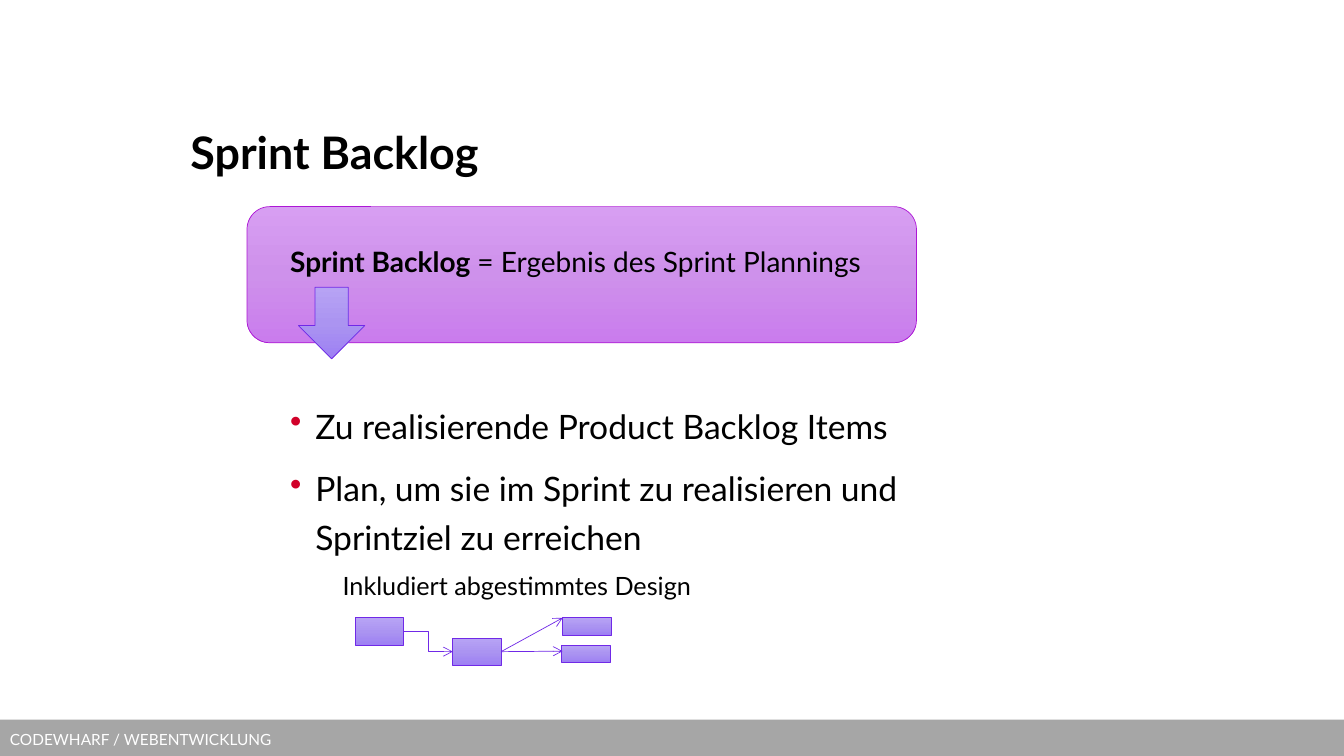
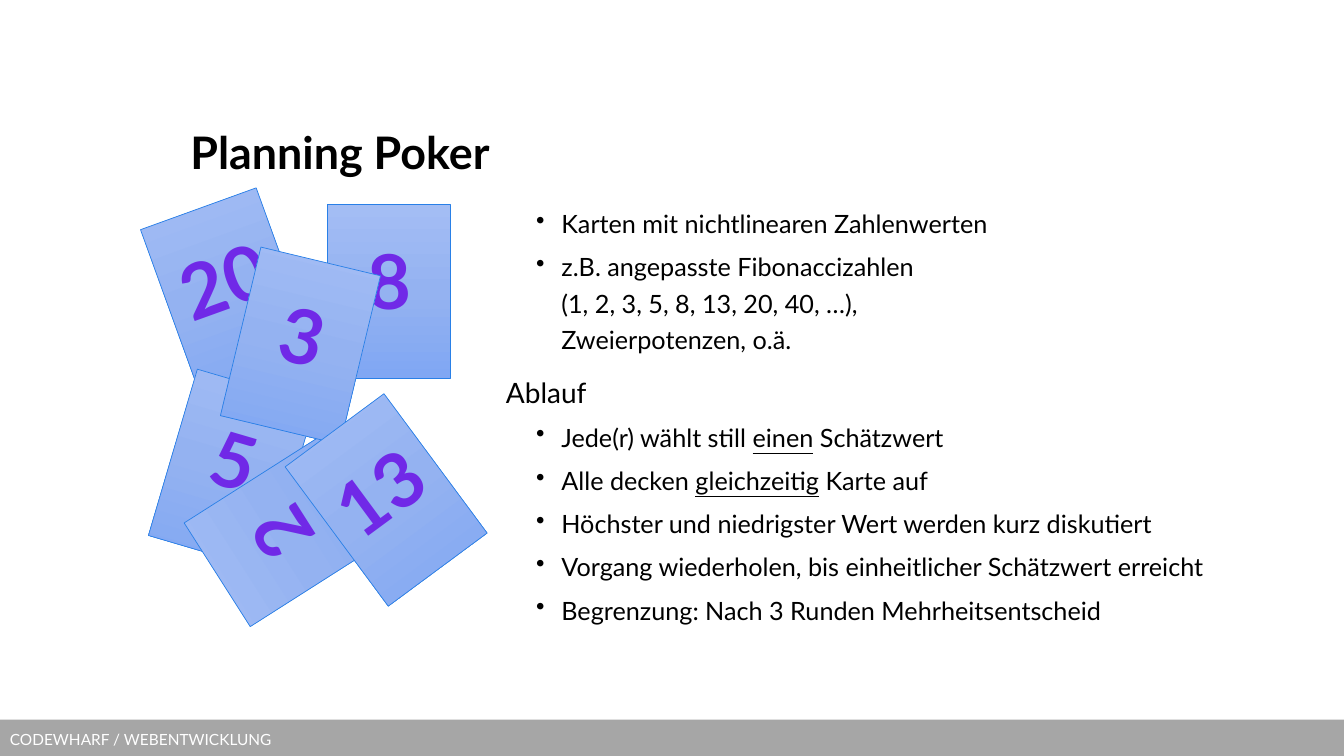
from copy import deepcopy
from dataclasses import dataclass

from lxml import etree
from pptx import Presentation
from pptx.dml.color import RGBColor
from pptx.enum.shapes import MSO_CONNECTOR, MSO_SHAPE
from pptx.enum.text import MSO_ANCHOR, PP_ALIGN
from pptx.oxml.ns import qn
from pptx.util import Inches, Pt

RECTANGLE = MSO_SHAPE.RECTANGLE
ROUNDED = MSO_SHAPE.ROUNDED_RECTANGLE
DOWN_ARROW = MSO_SHAPE.DOWN_ARROW
STRAIGHT, ELBOW = MSO_CONNECTOR.STRAIGHT, MSO_CONNECTOR.ELBOW
TOP, MIDDLE = MSO_ANCHOR.TOP, MSO_ANCHOR.MIDDLE
LEFT, CENTER = PP_ALIGN.LEFT, PP_ALIGN.CENTER
SIDE_LEFT, SIDE_RIGHT = 1, 3


@dataclass(frozen=True)
class Theme:
    font: str = "Lato"
    text: str = "000000"
    white: str = "FFFFFF"
    band: str = "A6A6A6"
    bullet: str = "D10029"
    number: str = "7029E7"
    number_outline: str = "FEFEFE"
    # Gradient stops from top to bottom, then the outline
    pink: tuple = ("D79EF2", "CE91EB", "CA7CED", "AD17D5")
    violet: tuple = ("B7A3F4", "AB94F1", "9D80F3", "7029E7")
    blue: tuple = ("A3BDF4", "94B2F1", "80A7F3", "2980E7")
    title_size: float = 32
    large_size: float = 24
    lead_size: float = 20
    detail_size: float = 18
    footer_size: float = 11
    number_size: float = 54
    line_width: float = 0.5
    line_spacing: float = 1.2


THEME = Theme()


def rgb(color):
    return RGBColor.from_string(color)


def inches(*lengths):
    return [Inches(length) for length in lengths]


# Text
def add_span(para, text, size=THEME.detail_size, color=THEME.text,
             bold=False, underline=False, outline=None):
    span = para.add_run()
    span.text = text
    font = span.font
    font.name, font.size, font.bold = THEME.font, Pt(size), bold
    font.color.rgb = rgb(color)
    if underline:
        font.underline = True
    if outline:
        line = etree.Element(qn("a:ln"), w=str(Pt(1.5)))
        fill = etree.SubElement(line, qn("a:solidFill"))
        etree.SubElement(fill, qn("a:srgbClr"), val=outline)
        font._element.insert(0, line)


def set_frame(box, anchor=TOP, wrap=True):
    frame = box.text_frame
    frame.word_wrap = wrap
    frame.vertical_anchor = anchor
    return frame


def add_line(box, text, anchor=MIDDLE, align=LEFT, wrap=True, **style):
    """Write one line of text into a box."""
    para = set_frame(box, anchor, wrap).paragraphs[0]
    para.alignment = align
    add_span(para, text, **style)


def format_para(para, before, margin=0, hanging=0, bullet=None):
    para.line_spacing = THEME.line_spacing
    para.space_before = Pt(before)
    props = para._element.get_or_add_pPr()
    props.set("marL", str(Inches(margin)))
    props.set("indent", str(-Inches(hanging)))
    if bullet:
        color = etree.SubElement(props, qn("a:buClr"))
        etree.SubElement(color, qn("a:srgbClr"), val=bullet)
        etree.SubElement(props, qn("a:buChar"), char="•")


def add_body(page, place, paras):
    """Each paragraph is (lines, size, layout); a line is a list of (text, style)."""
    frame = set_frame(page.shapes.add_textbox(*inches(*place)))
    for index, (lines, size, layout) in enumerate(paras):
        para = frame.add_paragraph() if index else frame.paragraphs[0]
        format_para(para, **layout)
        for number, line in enumerate(lines):
            if number:
                para.add_line_break()
            for text, style in line:
                add_span(para, text, size=size, **style)


def plain(*texts):
    return [[(text, {})] for text in texts]


def underlined(before, word, after):
    return [[(before, {}), (word, {"underline": True}), (after, {})]]


# Shapes
def add_gradient_shape(page, kind, place, palette):
    shape = page.shapes.add_shape(kind, *inches(*place))
    shape.shadow.inherit = False
    shape.fill.gradient()
    shape.fill.gradient_angle = 270
    stop_list = shape._element.find(".//" + qn("a:gsLst"))
    stop_list.insert(1, deepcopy(stop_list[0]))
    for index, stop in enumerate(shape.fill.gradient_stops):
        stop.position = index / 2
        stop.color.rgb = rgb(palette[index])
    shape.line.color.rgb = rgb(palette[-1])
    shape.line.width = Pt(THEME.line_width)
    return shape


def add_arrow(page, start_box, end, kind=STRAIGHT, end_box=None):
    arrow = page.shapes.add_connector(kind, 0, 0, *inches(*end))
    arrow.begin_connect(start_box, SIDE_RIGHT)
    if end_box is not None:
        arrow.end_connect(end_box, SIDE_LEFT)
    arrow.line.color.rgb = rgb(THEME.violet[-1])
    arrow.line.width = Pt(THEME.line_width)
    props = arrow._element.spPr
    etree.SubElement(props.find(qn("a:ln")), qn("a:tailEnd"), type="arrow")
    etree.SubElement(props, qn("a:effectLst"))


def add_card(page, number, left, top, rotation):
    card = add_gradient_shape(page, RECTANGLE, (left, top, 1.22, 1.72), THEME.blue)
    card.rotation = rotation
    add_line(card, number, align=CENTER, wrap=False, size=THEME.number_size,
             color=THEME.number, bold=True, outline=THEME.number_outline)
    card.text_frame.margin_bottom = Inches(0.28)


# Shared frame of every page
def add_page(deck, title):
    page = deck.slides.add_slide(deck.slide_layouts[6])
    band = page.shapes.add_shape(RECTANGLE, *inches(0, 7.14, 13.33, 0.39))
    band.shadow.inherit = False
    band.fill.solid()
    band.fill.fore_color.rgb = rgb(THEME.band)
    band.line.fill.background()
    add_line(band, "CODEWHARF / WEBENTWICKLUNG",
             size=THEME.footer_size, color=THEME.white)
    heading = page.shapes.add_textbox(*inches(1.79, 0.75, 9.75, 1.5))
    add_line(heading, title, size=THEME.title_size, bold=True)
    return page


def add_design_sketch(page):
    width, tall, flat = 0.48, 0.27, 0.17
    places = [(3.52, 6.13, tall), (4.49, 6.33, tall),
              (5.58, 6.13, flat), (5.57, 6.4, flat)]
    source, hub, _, _ = [
        add_gradient_shape(page, RECTANGLE, (left, top, width, height), THEME.violet)
        for left, top, height in places]
    add_arrow(page, source, (4.49, 6.46), kind=ELBOW, end_box=hub)
    for end in [(5.58, 6.13), (5.58, 6.46)]:
        add_arrow(page, hub, end)


def build_backlog(deck):
    page = add_page(deck, "Sprint Backlog")
    add_gradient_shape(page, ROUNDED, (2.45, 2.05, 6.64, 1.35), THEME.pink)
    item = {"margin": 0.25, "hanging": 0.25, "bullet": THEME.bullet}
    add_body(page, (2.78, 2.31, 6.56, 4.59), [
        ([[("Sprint Backlog ", {"bold": True}),
           ("= Ergebnis des Sprint Plannings", {})]],
         THEME.lead_size, {"before": 0}),
        (plain("Zu realisierende Product Backlog Items"),
         THEME.large_size, {"before": 85.5, **item}),
        (plain("Plan, um sie im Sprint zu realisieren und Sprintziel zu erreichen"),
         THEME.large_size, {"before": 10, **item}),
        (plain("Inkludiert abgestimmtes Design"),
         THEME.detail_size, {"before": 5, "margin": 0.52}),
    ])
    add_design_sketch(page)
    add_gradient_shape(page, DOWN_ARROW, (2.96, 2.85, 0.66, 0.71), THEME.violet)


def build_poker(deck):
    page = add_page(deck, "Planning Poker")
    item = {"before": 5, "margin": 0.55, "hanging": 0.25, "bullet": THEME.text}
    values = [
        plain("Karten mit nichtlinearen Zahlenwerten"),
        plain("z.B. angepasste Fibonaccizahlen",
              "(1, 2, 3, 5, 8, 13, 20, 40, …),", "Zweierpotenzen, o.ä."),
    ]
    steps = [
        underlined("Jede(r) wählt still ", "einen", " Schätzwert"),
        underlined("Alle decken ", "gleichzeitig", " Karte auf"),
        plain("Höchster und niedrigster Wert werden kurz diskutiert"),
        plain("Vorgang wiederholen, bis einheitlicher Schätzwert erreicht"),
        plain("Begrenzung: Nach 3 Runden Mehrheitsentscheid"),
    ]
    add_body(page, (4.92, 1.96, 7.16, 4.74), [
        *[(lines, THEME.detail_size, item) for lines in values],
        (plain("Ablauf"), THEME.lead_size, {"before": 10}),
        *[(lines, THEME.detail_size, item) for lines in steps],
    ])
    # Cards from back to front: number, left, top, rotation
    for card in [("8", 3.25, 2.03, 0), ("20", 1.65, 2.02, 340.1),
                 ("5", 1.69, 3.8, 16.4), ("2", 2.27, 4.38, 237.5),
                 ("3", 2.37, 2.57, 13.5), ("13", 3.22, 4.1, 323.5)]:
        add_card(page, *card)


def main():
    deck = Presentation()
    deck.slide_width, deck.slide_height = inches(13.33, 7.5)
    build_backlog(deck)
    build_poker(deck)
    deck.save("out.pptx")


if __name__ == "__main__":
    main()
